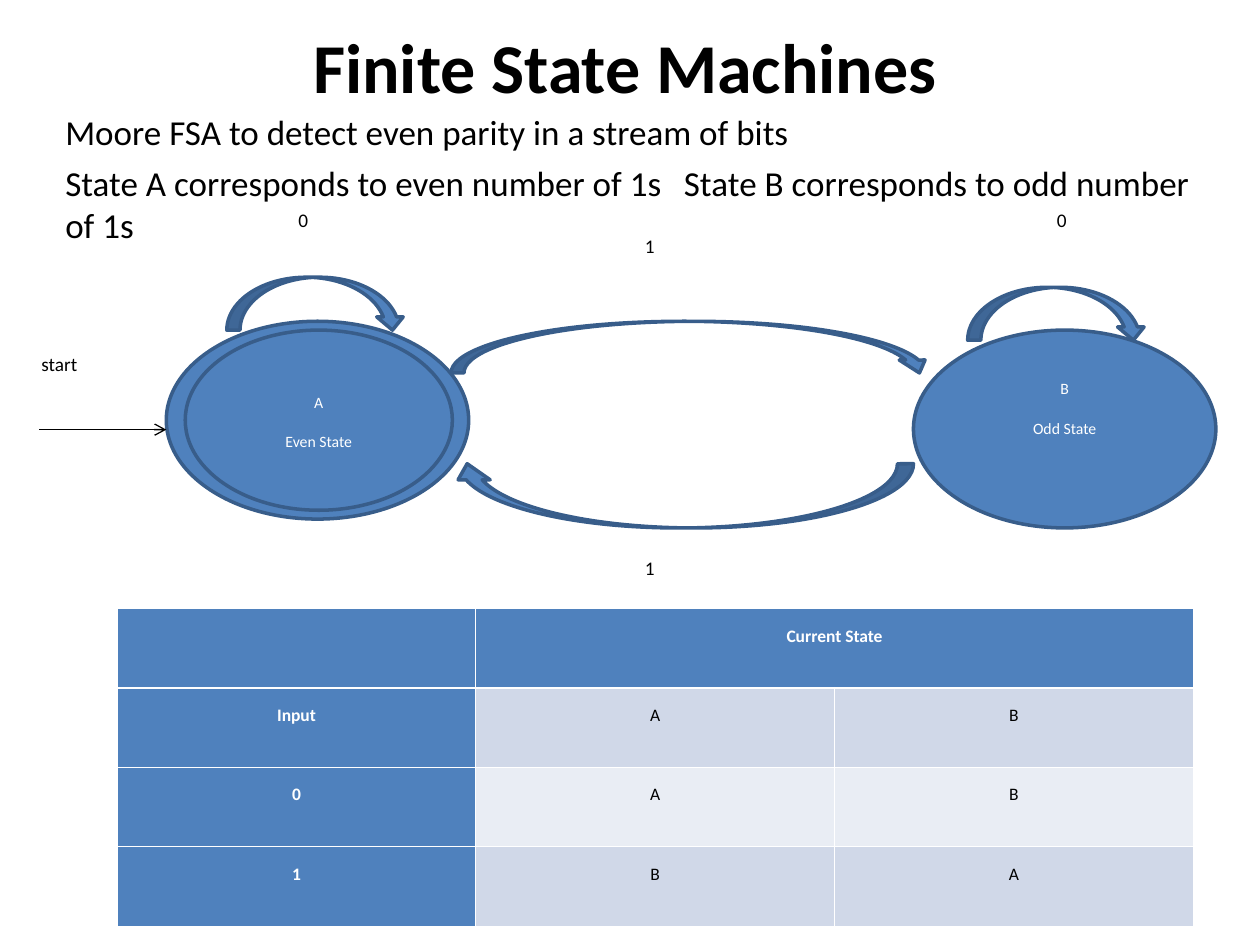
from lxml import etree
from pptx import Presentation
from pptx.dml.color import RGBColor
from pptx.enum.shapes import MSO_CONNECTOR, MSO_SHAPE
from pptx.enum.text import MSO_ANCHOR, PP_ALIGN
from pptx.oxml.ns import qn
from pptx.util import Inches, Pt

OVAL, CURVED_ARROW = MSO_SHAPE.OVAL, MSO_SHAPE.CURVED_DOWN_ARROW
STRAIGHT = MSO_CONNECTOR.STRAIGHT
LEFT, CENTER = PP_ALIGN.LEFT, PP_ALIGN.CENTER
TOP, MIDDLE = MSO_ANCHOR.TOP, MSO_ANCHOR.MIDDLE

BLACK = RGBColor(0x00, 0x00, 0x00)
WHITE = RGBColor(0xFF, 0xFF, 0xFF)
BLUE = RGBColor(0x4F, 0x81, 0xBD)
DARK_BLUE = RGBColor(0x38, 0x5D, 0x8A)
BANDS = (RGBColor(0xD0, 0xD8, 0xE8), RGBColor(0xE9, 0xED, 0xF4))

FONT = "Calibri"


def add_span(para, text, size, color=BLACK, bold=False):
    span = para.add_run()
    span.text = text
    span.font.name = FONT
    span.font.size = Pt(size)
    span.font.bold = bold
    span.font.color.rgb = color


def write(frame, lines, size, color=BLACK, bold=False, align=LEFT,
          anchor=TOP, spacing=1.0, before=0, after=0):
    frame.word_wrap = True
    frame.vertical_anchor = anchor
    for index, line in enumerate(lines):
        para = frame.add_paragraph() if index else frame.paragraphs[0]
        para.alignment = align
        para.line_spacing = spacing
        para.space_before = Pt(before if index else 0)
        para.space_after = Pt(after)
        add_span(para, line, size, color, bold)


def add_tab_stop(para, position):
    tabs = etree.SubElement(para._p.get_or_add_pPr(), qn("a:tabLst"))
    etree.SubElement(tabs, qn("a:tab"), pos=str(position), algn="l")


def add_heading(page, left, top, width):
    # Title
    box = page.shapes.add_textbox(left, top, width, Inches(0.78))
    write(box.text_frame, ["Finite State Machines"], 40, bold=True, align=CENTER)

    # Introduction
    box = page.shapes.add_textbox(left + Inches(0.42), top + Inches(0.69),
                                  Inches(9.17), Inches(1.2))
    write(box.text_frame,
          ["Moore FSA to detect even parity in a stream of bits",
           "State A corresponds to even number of 1s\t"
           "State B corresponds to odd number of 1s"], 20, before=5)
    add_tab_stop(box.text_frame.paragraphs[1], Inches(4.91))


def add_diagram(page, left, top):
    def place(x, y, width, height):
        return left + Inches(x), top + Inches(y), Inches(width), Inches(height)

    def add_blue_shape(kind, *box):
        shape = page.shapes.add_shape(kind, *place(*box))
        shape.shadow.inherit = False
        shape.fill.solid()
        shape.fill.fore_color.rgb = BLUE
        shape.line.color.rgb = DARK_BLUE
        shape.line.width = Pt(2)
        return shape

    # States; the accepting one has a double outline
    add_blue_shape(OVAL, 1.09, 0.97, 2.4, 1.57)
    even = add_blue_shape(OVAL, 1.24, 1.04, 2.12, 1.43)
    odd = add_blue_shape(OVAL, 7.02, 1.04, 2.4, 1.57)
    odd.text_frame.margin_bottom = Inches(0.4)
    for state, lines in ((even, ["A", "Even State"]), (odd, ["B", "Odd State"])):
        write(state.text_frame, lines, 9, WHITE, align=CENTER, anchor=MIDDLE,
              spacing=1.15, after=10)

    # Transitions: two loops, A to B, B to A
    for x, y, width, height, turn in ((1.57, 0.62, 1.42, 0.42, 0),
                                      (7.45, 0.7, 1.42, 0.42, 0),
                                      (3.35, 0.97, 3.82, 0.41, 0),
                                      (3.35, 2.1, 3.67, 0.51, 180)):
        arrow = add_blue_shape(CURVED_ARROW, x, y, width, height)
        arrow.rotation = turn

    # Labels
    for text, x, y, width in (("1", 4.79, 0.2, 0.37), ("1", 4.79, 2.76, 0.37),
                              ("start", 0, 1.14, 0.96),
                              ("0", 8.06, 0, 0.37), ("0", 2.04, 0, 0.37)):
        label = page.shapes.add_textbox(*place(x, y, width, 0.49))
        label.fill.solid()
        label.fill.fore_color.rgb = WHITE
        write(label.text_frame, [text], 11, spacing=1.15, after=10)

    # Start arrow
    line_y = top + Inches(1.83)
    start = page.shapes.add_connector(STRAIGHT, left + Inches(0.08), line_y,
                                      left + Inches(1.09), line_y)
    start.line.color.rgb = BLACK
    start.line.width = Pt(0.75)
    etree.SubElement(start.line._get_or_add_ln(), qn("a:tailEnd"), type="arrow")
    etree.SubElement(start._element.spPr, qn("a:effectLst"))


def set_borders(cell, widths):
    properties = cell._tc.get_or_add_tcPr()
    for index, (side, width) in enumerate(widths.items()):
        border = etree.Element(qn(f"a:ln{side}"), w=str(Pt(width)))
        fill = etree.SubElement(border, qn("a:solidFill"))
        etree.SubElement(fill, qn("a:srgbClr"), val=str(WHITE))
        properties.insert(index, border)


def add_transition_table(page, left, top, width, height):
    rows = [["", "Current State", ""],
            ["Input", "A", "B"],
            ["0", "A", "B"],
            ["1", "B", "A"]]
    table = page.shapes.add_table(len(rows), len(rows[0]),
                                  left, top, width, height).table
    table.cell(0, 1).merge(table.cell(0, 2))
    for r, row in enumerate(rows):
        for c, text in enumerate(row):
            cell = table.cell(r, c)
            header = r == 0 or c == 0
            cell.margin_left = cell.margin_right = Inches(0.07)
            cell.fill.solid()
            cell.fill.fore_color.rgb = BLUE if header else BANDS[(r - 1) % 2]
            set_borders(cell, {"L": 0.45, "R": 0.45,
                               "T": 1.47 if r == 1 else 0.45,
                               "B": 1.47 if r == 0 else 0.45})
            if text:
                write(cell.text_frame, [text], 10, WHITE if header else BLACK,
                      bold=header, align=CENTER, spacing=1.5)


def main():
    deck = Presentation()
    deck.slide_width, deck.slide_height = Inches(10), Inches(7.5)
    page = deck.slides.add_slide(deck.slide_layouts[6])
    add_heading(page, Inches(0), Inches(0.14), Inches(9.92))
    add_diagram(page, Inches(0.23), Inches(1.58))
    add_transition_table(page, Inches(0.93), Inches(4.83), Inches(8.54), Inches(2.52))
    deck.save("out.pptx")


if __name__ == "__main__":
    main()
